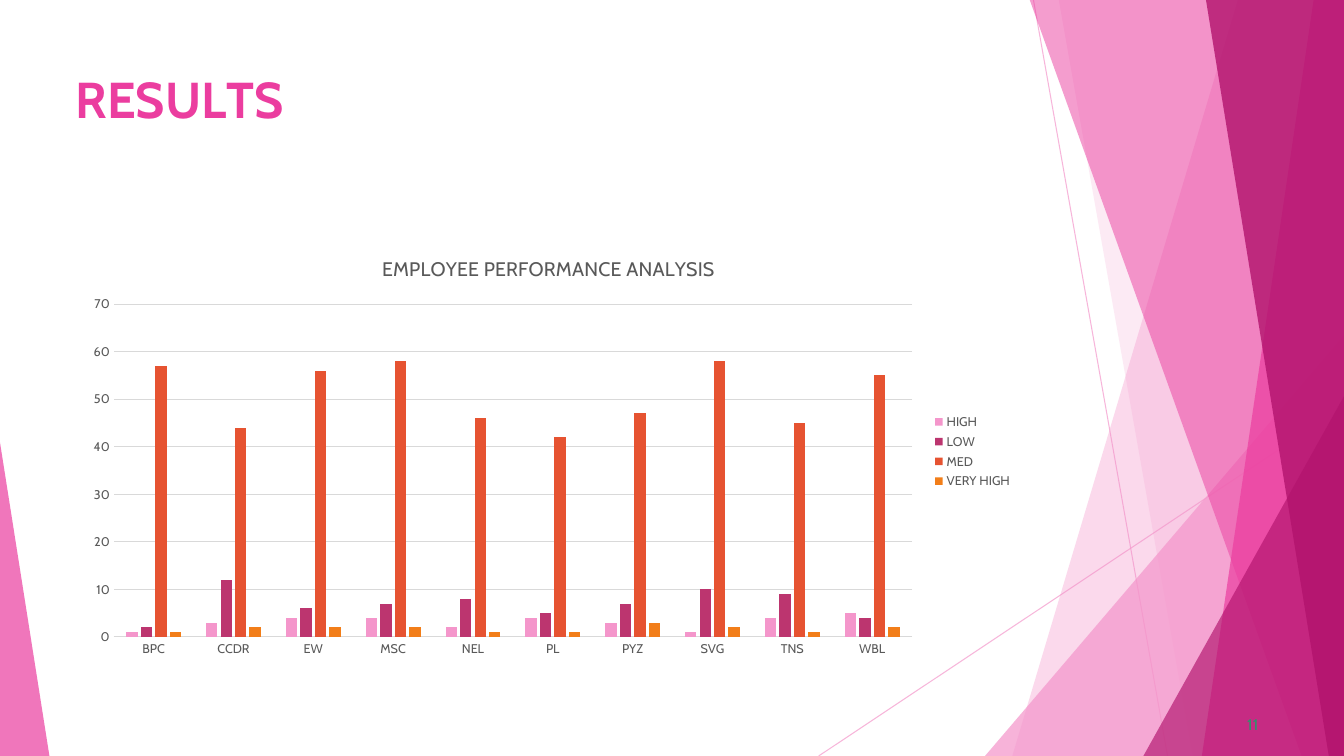
from lxml import etree
from pptx import Presentation
from pptx import util as u
from pptx.chart import data as chart_data
from pptx.dml import color as dml
from pptx.enum import chart as ch, shapes, text
from pptx.oxml import ns

PINK, ROSE, PLUM, GREY, RULE = "F496CB", "EB3D9F", "B2136D", "595959", "D9D9D9"
TOP, BOTTOM, RIGHT = -0.01, 7.5, 13.33

RAYS = [((10.25, 0), (11.58, BOTTOM)), ((RIGHT, 4.03), (8.12, BOTTOM))]
FACETS = [
    ("band", (12.28, 10.04), PINK, 36),
    ("band", (10.5, 11.83), PINK, 20),
    ("triangle", (9.77, 3.33, 3.56, 4.17, 1), PINK, 72),
    ("band", (10.21, 12.91), ROSE, 50),
    ("band", (13.03, 11.92), ROSE, 70),
    ("band", (11.96, 13.18), PLUM, 80),
    ("triangle", (11.34, 3.93, 1.99, 3.57, 1), PLUM, 66),
    ("triangle", (0, 4.39, 0.49, 3.11, 0), ROSE, 70),
]
HEADING = [("R", 0), ("E", -40), ("S", 10), ("U", -30), ("L", -400), ("TS", 0)]
DEPARTMENTS = ["BPC", "CCDR", "EW", "MSC", "NEL", "PL", "PYZ", "SVG", "TNS", "WBL"]
RATINGS = [
    ("HIGH", PINK, (1, 3, 4, 4, 2, 4, 3, 1, 4, 5)),
    ("LOW", "BC356F", (2, 12, 6, 7, 8, 5, 7, 10, 9, 4)),
    ("MED", "E65331", (57, 44, 56, 58, 46, 42, 47, 58, 45, 55)),
    ("VERY HIGH", "F27E19", (1, 2, 2, 2, 1, 1, 3, 2, 1, 2)),
]


def rgb(value):
    """Turn a hex string into a colour."""
    return dml.RGBColor.from_string(value)


def assign(target, values):
    """Set every attribute named in a dict."""
    for key, value in values.items():
        setattr(target, key, value)


def set_font(font, size, colour, bold=False):
    """Format a font in the slide's typeface."""
    assign(font, {"name": "Cabin", "size": u.Pt(size), "bold": bold})
    font.color.rgb = rgb(colour)


def paint(fill, colour, opacity=100):
    """Apply a solid fill with an opacity in percent."""
    fill.solid()
    fill.fore_color.rgb = rgb(colour)
    if opacity < 100:
        solid = fill._xPr.find(ns.qn("a:solidFill"))
        etree.SubElement(solid[0], ns.qn("a:alpha"), val=str(opacity * 1000))


def add_ray(slide, start, end):
    """Draw one thin translucent line."""
    ray = slide.shapes.add_connector(
        shapes.MSO_CONNECTOR.STRAIGHT, *map(u.Inches, start + end))
    ray.line.width = u.Pt(0.75)
    paint(ray.line.fill, PINK, 70)
    etree.SubElement(ray._element.spPr, ns.qn("a:effectLst"))


def band(slide, top_x, bottom_x):
    """Outline a band that reaches the right edge of the slide."""
    corners = [(top_x, TOP), (RIGHT, TOP), (RIGHT, BOTTOM), (bottom_x, BOTTOM)]
    points = [(u.Inches(x), u.Inches(y)) for x, y in corners]
    builder = slide.shapes.build_freeform(*points[0])
    builder.add_line_segments(points[1:], close=True)
    return builder.convert_to_shape()


def triangle(slide, left, top, width, height, apex):
    """Add a triangle whose apex sits at a share of its width."""
    facet = slide.shapes.add_shape(
        shapes.MSO_SHAPE.ISOSCELES_TRIANGLE,
        *map(u.Inches, (left, top, width, height)))
    facet.adjustments[0] = apex
    return facet


def add_facet(slide, kind, geometry, colour, opacity):
    """Add one translucent facet of the backdrop."""
    facet = {"band": band, "triangle": triangle}[kind](slide, *geometry)
    facet.shadow.inherit = False
    facet.line.fill.background()
    paint(facet.fill, colour, opacity)


def write(box, place, pieces, size, colour, bold, indent, before):
    """Place a text shape and fill it with letter-spaced runs."""
    assign(box, dict(zip(("left", "top", "width", "height"), map(u.Inches, place))))
    frame = box.text_frame
    assign(frame, {
        "margin_left": 0, "margin_top": u.Inches(0.01), "margin_right": 0,
        "margin_bottom": 0, "word_wrap": True,
        "auto_size": text.MSO_AUTO_SIZE.NONE,
        "vertical_anchor": text.MSO_ANCHOR.TOP})
    line = frame.paragraphs[0]
    assign(line, {"alignment": text.PP_ALIGN.LEFT, "line_spacing": 1.0,
                  "space_before": u.Pt(before)})
    line._p.get_or_add_pPr().set("marL", str(u.Inches(indent)))
    for letters, spacing in pieces:
        run = line.add_run()
        run.text = letters
        set_font(run.font, size, colour, bold)
        run.font._element.set("spc", str(spacing))


def format_axes(chart):
    """Format both axes and the gridlines."""
    for axis in (chart.category_axis, chart.value_axis):
        assign(axis, {"major_tick_mark": ch.XL_TICK_MARK.NONE,
                      "minor_tick_mark": ch.XL_TICK_MARK.NONE})
        set_font(axis.tick_labels.font, 9, GREY)
    scale = chart.value_axis
    assign(scale, {"minimum_scale": 0, "maximum_scale": 70, "major_unit": 10,
                   "has_major_gridlines": True})
    scale.format.line.fill.background()
    for rule in (chart.category_axis.format.line, scale.major_gridlines.format.line):
        rule.width = u.Pt(0.75)
        paint(rule.fill, RULE)


def add_performance_chart(slide):
    """Add the clustered columns of ratings by department."""
    ratings = chart_data.CategoryChartData()
    ratings.categories = DEPARTMENTS
    for name, _, counts in RATINGS:
        ratings.add_series(name, counts)
    chart = slide.shapes.add_chart(
        ch.XL_CHART_TYPE.COLUMN_CLUSTERED,
        *map(u.Inches, (0.74, 2.36, 9.4, 4.24)), ratings).chart
    set_font(chart.font, 10, "000000")
    assign(chart, {"has_title": True, "has_legend": True})
    caption = chart.chart_title.text_frame
    caption.text = "EMPLOYEE PERFORMANCE ANALYSIS"
    set_font(caption.paragraphs[0].runs[0].font, 14, GREY)
    assign(chart.legend, {"position": ch.XL_LEGEND_POSITION.RIGHT,
                          "include_in_layout": False})
    set_font(chart.legend.font, 9, GREY)
    plot = chart.plots[0]
    assign(plot, {"gap_width": 219, "overlap": -27, "vary_by_categories": False})
    for series, (_, colour, _) in zip(plot.series, RATINGS):
        series.invert_if_negative = False
        paint(series.format.fill, colour)
    format_axes(chart)


def main():
    """Build and save the results slide."""
    deck = Presentation()
    assign(deck, {"slide_width": u.Inches(RIGHT), "slide_height": u.Inches(BOTTOM)})
    slide = deck.slides.add_slide(deck.slide_layouts[5])
    for start, end in RAYS:
        add_ray(slide, start, end)
    for facet in FACETS:
        add_facet(slide, *facet)
    write(slide.shapes.title, (0.74, 0.67, 9.4, 1.44), HEADING, 36, ROSE, True, 0.01, 1.1)
    page_number = slide.shapes.add_textbox(0, 0, 0, 0)
    write(page_number, (12.33, 7.08, 0.25, 0.21), [("11", 10)], 11, "2D936B", False, 0.04, 0.6)
    add_performance_chart(slide)
    deck.save("out.pptx")


if __name__ == "__main__":
    main()
